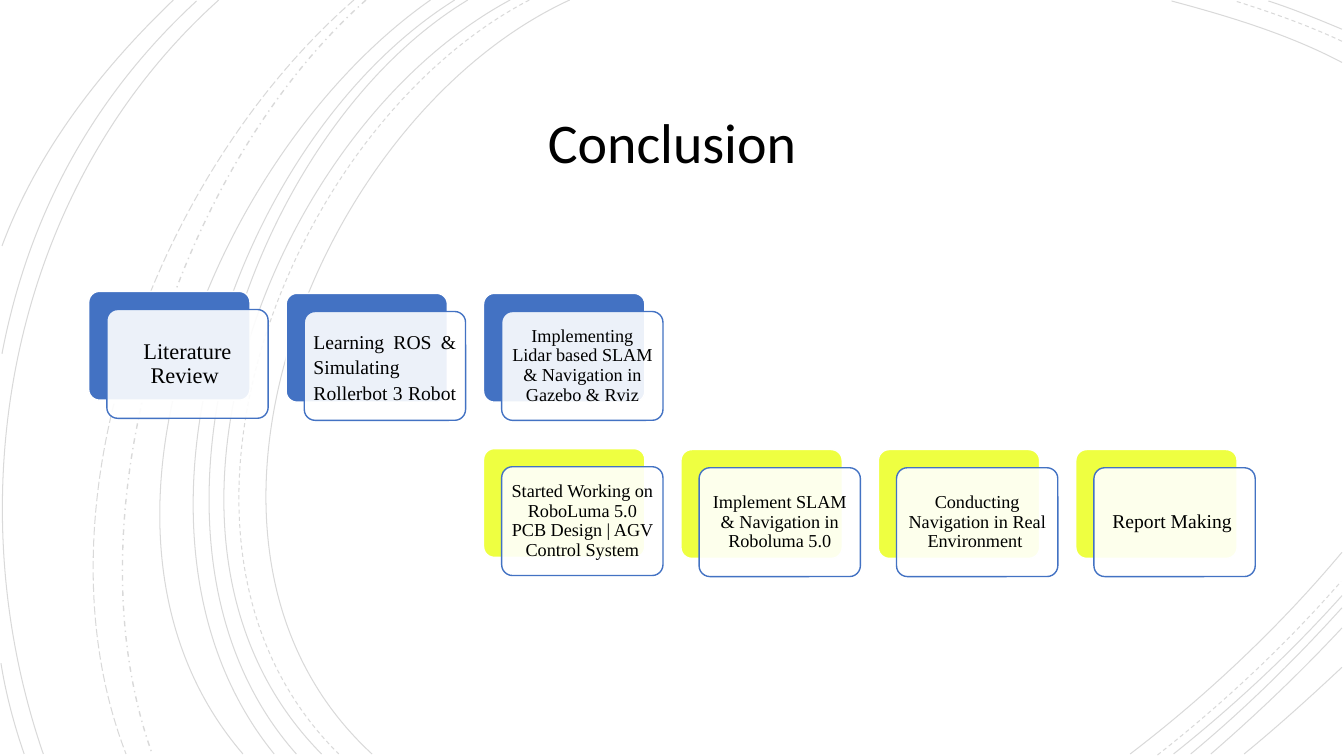
import lxml.etree
import pptx
import pptx.dml.color
import pptx.enum.dml
import pptx.enum.shapes
import pptx.enum.text
import pptx.oxml.ns
import pptx.util

Inches = pptx.util.Inches
qn = pptx.oxml.ns.qn
ALIGN = pptx.enum.text.PP_ALIGN
DASH = pptx.enum.dml.MSO_LINE

BLUE, YELLOW, WHITE, BLACK = "4372C3", "EEFF41", "FFFFFF", "000000"
CARD_SIZE = (1.6, 1.08)
FIRST_LEFT, LAST_LEFT, LAST_COLUMN = 0.88, 10.67, 5
CARD_PITCH = (LAST_LEFT - FIRST_LEFT) / LAST_COLUMN
FRONT_OFFSET = 0.18

# Bezier start, two controls and end, as x, y pairs in inches
SOLID_ARCS = [
    (5.65, 0, 3.15, 1.15, 1.43, 5.4, 3.69, 7.48),
    (13.31, 0.62, 12.78, 0.34, 12.18, 0.16, 11.62, 0.01),
    (11.21, 7.48, 11.97, 6.9, 12.69, 6.22, 13.31, 5.48),
    (5.06, 0, 2.7, 1.27, 1.1, 5.37, 3.19, 7.48),
    (13.31, 0.29, 13.07, 0.19, 12.83, 0.09, 12.58, 0.01),
    (11.64, 7.48, 12.23, 7.01, 12.8, 6.48, 13.31, 5.91),
    (4.64, 0, 2.44, 1.33, 1.1, 5.41, 2.94, 7.48),
    (11.81, 7.48, 12.34, 7.04, 12.84, 6.55, 13.31, 6.03),
    (4.51, 0, 2.31, 1.38, 0.97, 5.33, 2.72, 7.48),
    (12.01, 7.48, 12.46, 7.09, 12.9, 6.67, 13.31, 6.23),
    (4.27, 0, 2.17, 1.47, 0.53, 5.29, 2.41, 7.48),
    (12.34, 7.48, 12.67, 7.21, 12.99, 6.92, 13.31, 6.62),
    (2.17, 0, 0.11, 1.85, -0.46, 4.9, 0.43, 7.48),
    (1.95, 0.01, 0.92, 0.96, 0.28, 2.14, 0.02, 3.51),
    (0.01, 6.58, 0.06, 6.89, 0.14, 7.19, 0.24, 7.48),
    (1.72, 0, 1, 0.69, 0.37, 1.5, 0.02, 2.44),
]
DASHED_ARCS = [
    (5.25, 0, 2.85, 1.25, 1.23, 5.37, 3.36, 7.48),
    (13.31, 0.41, 12.97, 0.25, 12.6, 0.12, 12.25, 0.01),
    (11.48, 7.49, 12.13, 6.98, 12.75, 6.4, 13.3, 5.77),
]
DASH_DOT_ARCS = [(3.63, 0, 1.76, 1.66, 0.65, 5.09, 1.51, 7.48)]
LONG_DASH_ARCS = [(3.51, 0, 1.57, 1.69, 0.29, 4.99, 1.25, 7.48)]
ARC_GROUPS = [
    (SOLID_ARCS, DASH.SOLID, 0.75),
    (DASHED_ARCS, DASH.DASH, 0.75),
    (DASH_DOT_ARCS, DASH.DASH_DOT, 1),
    (LONG_DASH_ARCS, DASH.LONG_DASH, 0.75),
]

CENTERED = {"alignment": ALIGN.CENTER, "line_spacing": 0.9}
JUSTIFIED = {"alignment": ALIGN.JUSTIFY, "line_spacing": 1.08,
             "space_after": pptx.util.Pt(8)}

# Column, top, colour, text size, paragraph format, wording
STEPS = [
    (1, 2.91, BLUE, 14, JUSTIFIED, "Learning ROS & Simulating Rollerbot 3 Robot "),
    (2, 2.91, BLUE, 13, CENTERED,
     "Implementing Lidar based SLAM & Navigation in Gazebo & Rviz"),
    (0, 2.89, BLUE, 16, CENTERED, "Literature Review "),
    (3, 4.46, YELLOW, 13, CENTERED, "Implement SLAM & Navigation in Roboluma 5.0"),
    (4, 4.46, YELLOW, 13, CENTERED, "Conducting Navigation in Real Environment "),
    (5, 4.46, YELLOW, 14, CENTERED, "Report Making "),
    (2, 4.45, YELLOW, 13, CENTERED,
     "Started Working on RoboLuma 5.0 PCB Design | AGV Control System"),
]


def set_color(fill, color, opacity=100):
    """Apply a solid colour to a fill, with opacity in percent."""
    fill.solid()
    fill.fore_color.rgb = pptx.dml.color.RGBColor.from_string(color)
    if opacity < 100:
        srgb = fill.fore_color._xFill.find(qn("a:srgbClr"))
        alpha = lxml.etree.SubElement(srgb, qn("a:alpha"))
        alpha.set("val", str(opacity * 1000))


def bend_segments(curve):
    """Merge the three straight segments into one cubic Bezier segment."""
    outline = next(curve._element.iter(qn("a:path")))
    segments = outline.findall(qn("a:lnTo"))
    bezier = lxml.etree.SubElement(outline, qn("a:cubicBezTo"))
    for segment in segments:
        bezier.append(segment[0])
        outline.remove(segment)


def add_arc(slide, arc, dash, width):
    points = list(zip(map(Inches, arc[::2]), map(Inches, arc[1::2])))
    builder = slide.shapes.build_freeform(*points[0])
    builder.add_line_segments(points[1:], close=False)
    curve = builder.convert_to_shape()
    bend_segments(curve)
    curve.shadow.inherit = False
    curve.fill.background()
    set_color(curve.line.fill, BLACK, 15)
    curve.line.width = pptx.util.Pt(width)
    curve.line.dash_style = dash


def write_text(shape, text, font_name, size, inset, paragraph_format):
    frame = shape.text_frame
    frame_format = {"word_wrap": True,
                    "vertical_anchor": pptx.enum.text.MSO_ANCHOR.MIDDLE}
    for side, margin in zip(("left", "top", "right", "bottom"), inset):
        frame_format[f"margin_{side}"] = Inches(margin)
    for name, value in frame_format.items():
        setattr(frame, name, value)
    paragraph = frame.paragraphs[0]
    for name, value in paragraph_format.items():
        setattr(paragraph, name, value)
    run = paragraph.add_run()
    run.text = text
    for name, value in {"name": font_name, "size": pptx.util.Pt(size)}.items():
        setattr(run.font, name, value)
    set_color(run.font.fill, BLACK)


def add_card(slide, left, top, fill, line, opacity=100):
    card = slide.shapes.add_shape(
        pptx.enum.shapes.MSO_SHAPE.ROUNDED_RECTANGLE,
        *map(Inches, (left, top, *CARD_SIZE)))
    card.adjustments[0] = 0.1
    card.shadow.inherit = False
    set_color(card.fill, fill, opacity)
    set_color(card.line.fill, line)
    card.line.width = pptx.util.Pt(1)
    return card


def add_step(slide, column, top, color, size, paragraph_format, text):
    """Coloured card with a translucent text card shifted over it."""
    left = FIRST_LEFT + column * CARD_PITCH
    add_card(slide, left, top, color, WHITE)
    front = add_card(slide, left + FRONT_OFFSET, top + FRONT_OFFSET, WHITE, BLUE, 90)
    write_text(front, text, "Times New Roman", size, (0.06,) * 4, paragraph_format)


def add_title(slide, text):
    title = slide.shapes.add_textbox(*map(Inches, (1.92, 0.87, 9.49, 1.15)))
    write_text(title, text, "Calibri", 40, (0.1, 0.05, 0.1, 0.05), CENTERED)


def main():
    presentation = pptx.Presentation()
    presentation.slide_width = Inches(13.33)
    presentation.slide_height = Inches(7.5)
    slide = presentation.slides.add_slide(presentation.slide_layouts[6])
    set_color(slide.background.fill, WHITE)
    for arcs, dash, width in ARC_GROUPS:
        for arc in arcs:
            add_arc(slide, arc, dash, width)
    add_title(slide, "Conclusion")
    for step in STEPS:
        add_step(slide, *step)
    presentation.save("out.pptx")


if __name__ == "__main__":
    main()
